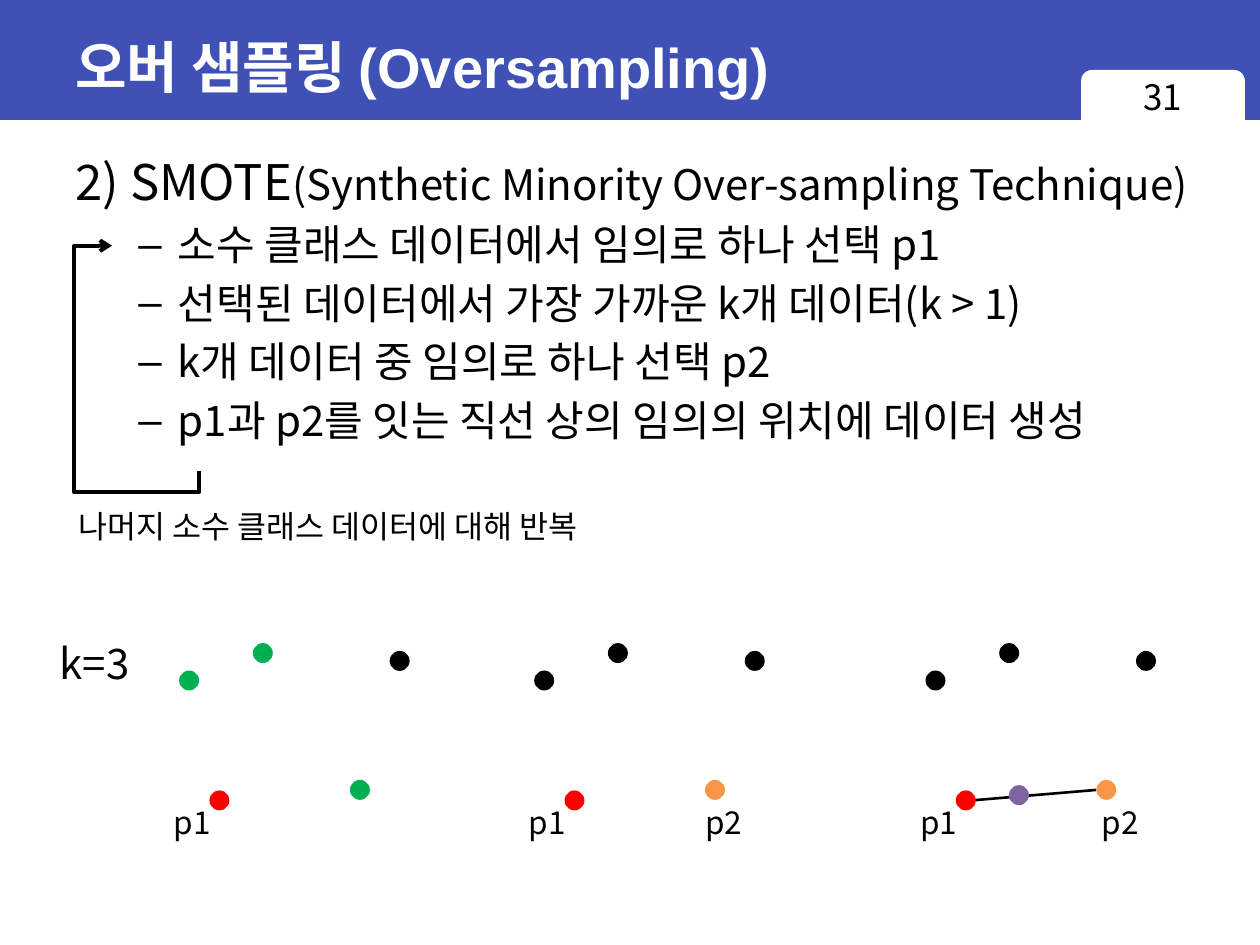
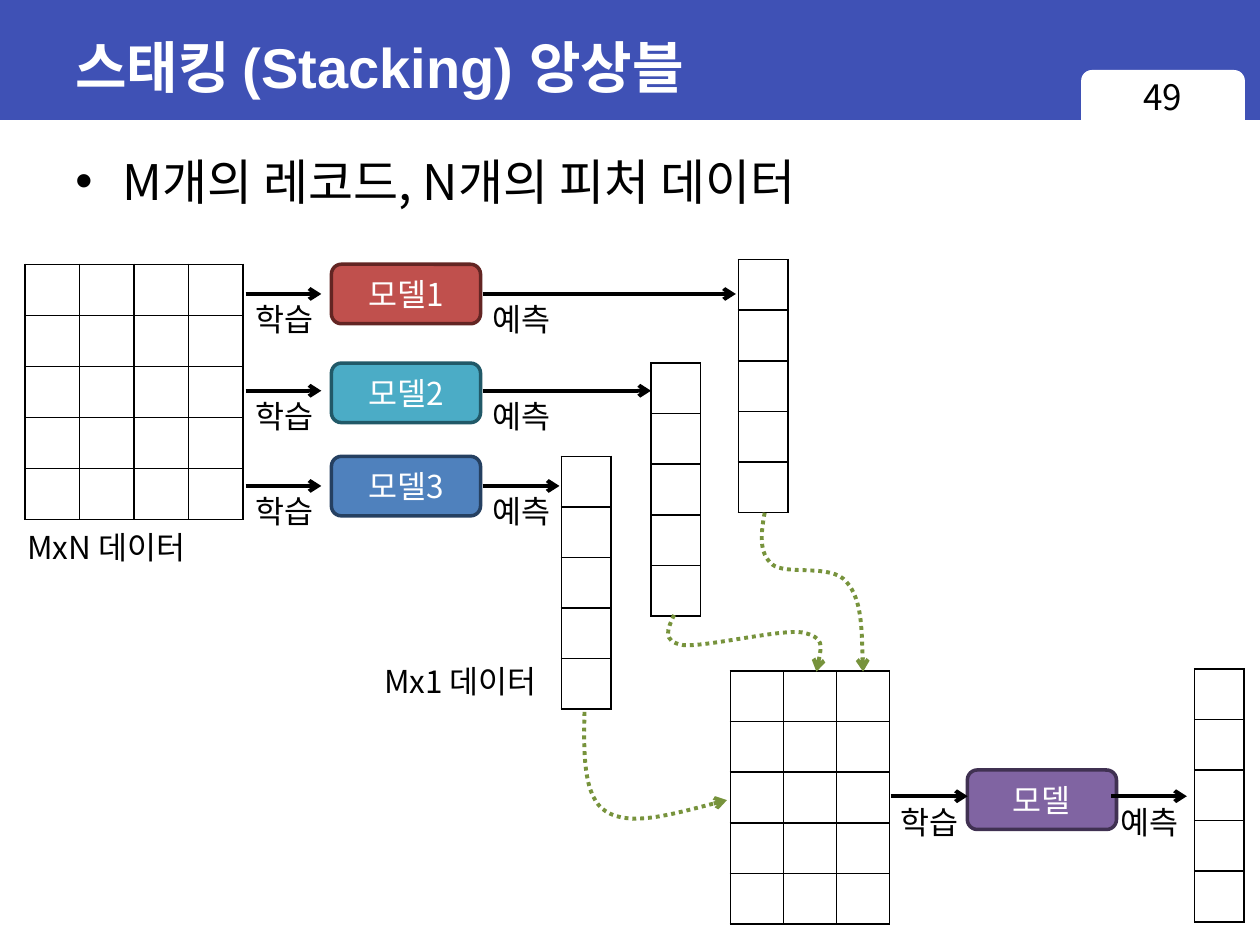
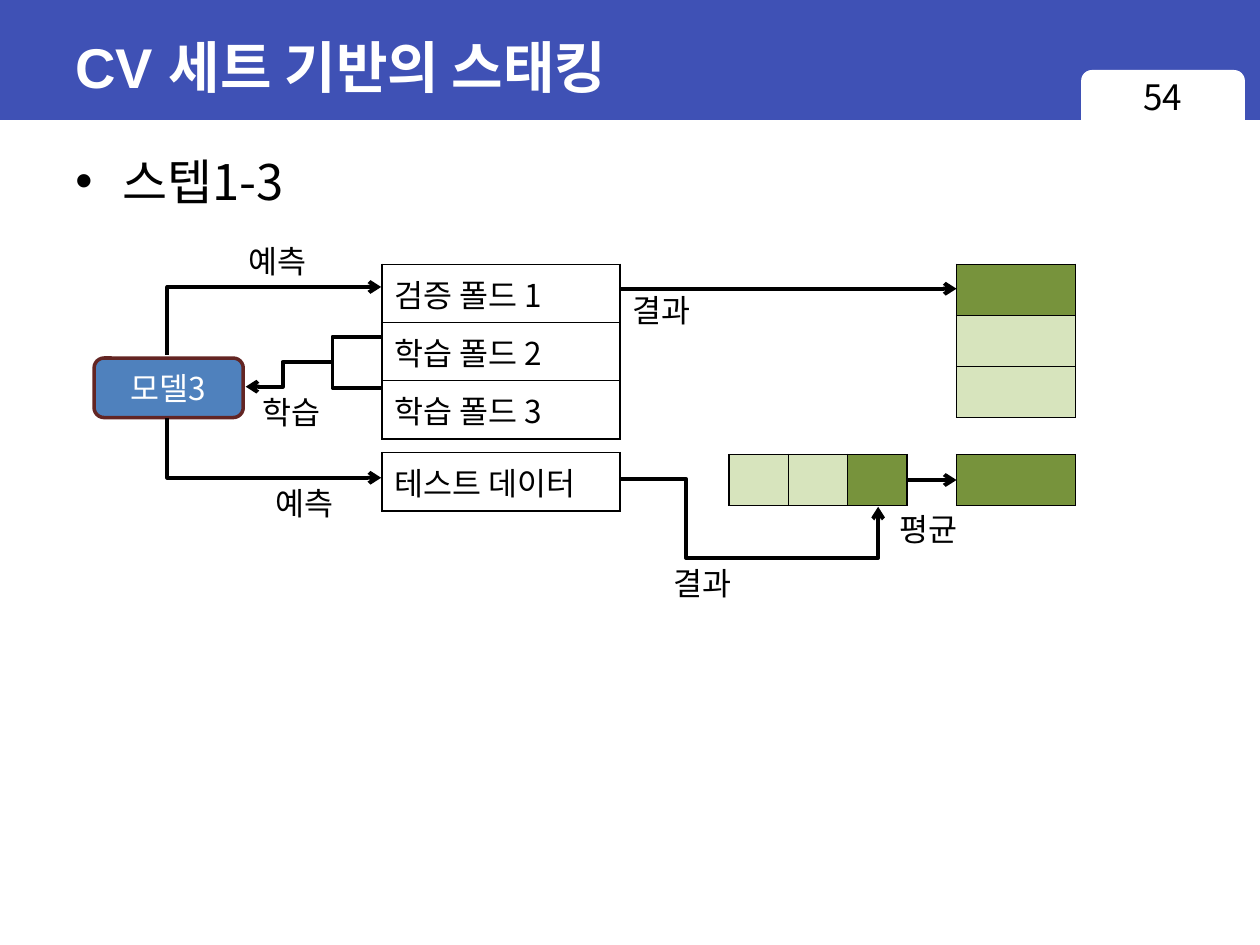
"""Build three slides on oversampling and stacking ensembles."""
from lxml import etree
from pptx import Presentation
from pptx.dml.color import RGBColor
from pptx.enum import dml, shapes, text
from pptx.oxml import ns
from pptx.util import Pt

HUES = {
    "band": "3F51B5", "white": "FFFFFF", "black": "000000", "red": "FF0000",
    "green": "00B050", "orange": "F79646", "purple": "8064A2", "plum": "403152",
    "brick": "C0504D", "wine": "632523", "teal": "4BACC6", "sea": "215968",
    "blue": "4F81BD", "navy": "254061", "olive": "77933C", "pale": "D7E4BD",
}
KIND = shapes.MSO_SHAPE


def hue(name):
    """Return the named colour."""
    return RGBColor.from_string(HUES[name])


def sub(node, tag, **attrs):
    """Append a drawing element to a node."""
    return etree.SubElement(node, ns.qn("a:" + tag), attrs)


class Deck:
    """Hold the style and the current slide."""

    font = "Noto Sans CJK KR"

    def __init__(self):
        """Start a deck of 10 by 7.5 inches."""
        self.file = Presentation()
        self.file.slide_width, self.file.slide_height = Pt(720), Pt(540)

    def page(self, title, number):
        """Add a slide with its band, title and page tab."""
        self.slide = self.file.slides.add_slide(self.file.slide_layouts[6])
        self.shape(KIND.RECTANGLE, 0, 0, 720, 68.6, "band")
        self.shape(KIND.ROUNDED_RECTANGLE, 617.8, 40, 93.6, 37, "white")
        frame = self.frame(36, 8, 648, 60)
        frame.vertical_anchor = text.MSO_ANCHOR.MIDDLE
        frame.text = title
        self.style(frame.paragraphs[0], 32, "white", "Arial", True)
        frame = self.frame(617.4, 39.6, 94.3, 37.4)
        frame.text = number
        frame.paragraphs[0].alignment = text.PP_ALIGN.CENTER
        self.style(frame.paragraphs[0], 20)

    def style(self, para, size, color="black", font=font, bold=False):
        """Set the font of every run in a paragraph."""
        for run in para.runs:
            run.font.size, run.font.bold, run.font.name = Pt(size), bold, font
            run.font.color.rgb = hue(color)

    def frame(self, x, y, w, h):
        """Add a wrapping text box and return its frame."""
        frame = self.slide.shapes.add_textbox(Pt(x), Pt(y), Pt(w), Pt(h)).text_frame
        frame.word_wrap = True
        return frame

    def label(self, words, x, y, w=51.1, size=18):
        """Add a one-line label."""
        frame = self.frame(x, y, w, size * 1.2 + 7.2)
        frame.word_wrap = False
        frame.auto_size = text.MSO_AUTO_SIZE.SHAPE_TO_FIT_TEXT
        frame.text = words
        self.style(frame.paragraphs[0], size)

    def body(self, head, note="", items=()):
        """Add the main text, as a bullet or as a heading with dashes."""
        frame = self.frame(36, 82.8, 680, 442)
        frame.text = head
        para = frame.paragraphs[0]
        if note:
            para.add_run().text = note
        self.style(para, 28)
        if note:
            para.runs[1].font.size = Pt(24)
        else:
            self.bullet(para, "•", 27)
        for item in items:
            para = frame.add_paragraph()
            para.text = item
            para.space_before = Pt(4.8)
            self.style(para, 24)
            self.bullet(para, "–", 58.5, 22.5)

    def bullet(self, para, mark, left, hang=27):
        """Give a paragraph a hanging bullet."""
        props = para._p.get_or_add_pPr()
        props.set("marL", str(Pt(left)))
        props.set("indent", str(-Pt(hang)))
        sub(props, "buFont", typeface="Arial")
        sub(props, "buChar", char=mark)

    def shape(self, kind, x, y, w, h, fill, edge=None):
        """Add a filled preset shape."""
        item = self.slide.shapes.add_shape(kind, Pt(x), Pt(y), Pt(w), Pt(h))
        item.shadow.inherit = False
        item.fill.solid()
        item.fill.fore_color.rgb = hue(fill)
        if edge:
            item.line.color.rgb, item.line.width = hue(edge), Pt(2)
        else:
            item.line.fill.background()
        return item

    def dot(self, x, y, fill):
        """Add a data point."""
        self.shape(KIND.OVAL, x, y, 11.4, 11.4, fill)

    def model(self, words, x, y, fill, edge):
        """Add a model box."""
        frame = self.shape(KIND.ROUNDED_RECTANGLE, x, y, 85.2, 34, fill, edge).text_frame
        frame.vertical_anchor = text.MSO_ANCHOR.MIDDLE
        frame.text = words
        frame.paragraphs[0].alignment = text.PP_ALIGN.CENTER
        self.style(frame.paragraphs[0], 18, "white")

    def ink(self, item, color, width, head):
        """Set the stroke of a line and its arrowhead."""
        item.line.color.rgb, item.line.width = hue(color), Pt(width)
        if head:
            sub(item.line._get_or_add_ln(), "tailEnd", type="arrow")

    def line(self, x, y, end, drop=0, width=2.25, head=True):
        """Add a straight line, by default a level arrow."""
        item = self.slide.shapes.add_connector(
            shapes.MSO_CONNECTOR.STRAIGHT, Pt(x), Pt(y), Pt(end), Pt(y + drop))
        self.ink(item, "black", width, head)
        sub(item._element.spPr, "effectLst")

    def route(self, *spots, color="black", head=True):
        """Add an open path through the given points."""
        spots = [(Pt(x), Pt(y)) for x, y in spots]
        build = self.slide.shapes.build_freeform(*spots[0])
        build.add_line_segments(spots[1:], close=False)
        item = build.convert_to_shape()
        item.shadow.inherit = False
        item.fill.background()
        self.ink(item, color, 2.25, head)
        return item

    def curve(self, *spots):
        """Add a dotted Bezier arrow with three points to each segment."""
        item = self.route(*spots, color="olive")
        item.line.dash_style = dml.MSO_LINE.ROUND_DOT
        track = next(item._element.iter(ns.qn("a:path")))
        steps = track.findall(ns.qn("a:lnTo"))
        for i in range(0, len(steps), 3):
            bend = sub(track, "cubicBezTo")
            for step in steps[i:i + 3]:
                bend.append(step[0])
                track.remove(step)

    def grid(self, x, y, wide, high, rows, cols=1, fills=(), words=()):
        """Add a ruled table, with fills and words given cell by cell."""
        table = self.slide.shapes.add_table(
            rows, cols, Pt(x), Pt(y), Pt(wide * cols), Pt(high * rows)).table
        table.first_row = table.horz_banding = False
        for col in table.columns:
            col.width = Pt(wide)
        for row in table.rows:
            row.height = Pt(high)
        for i, cell in enumerate(table.iter_cells()):
            if words:
                cell.text = words[i]
                self.style(cell.text_frame.paragraphs[0], 18)
            else:
                cell.margin_top = cell.margin_bottom = 0
            props = cell._tc.get_or_add_tcPr()
            for side in "LRTB":
                rule = sub(props, "ln" + side, w=str(Pt(1)))
                sub(sub(rule, "solidFill"), "srgbClr", val=HUES["black"])
            if fills:
                cell.fill.solid()
                cell.fill.fore_color.rgb = hue(fills[i])
            else:
                cell.fill.background()


def sample(deck):
    """Draw the oversampling slide."""
    deck.page("오버 샘플링 (Oversampling)", "31")
    deck.body("2) SMOTE", "(Synthetic Minority Over-sampling Technique)", [
        "소수 클래스 데이터에서 임의로 하나 선택 p1",
        "선택된 데이터에서 가장 가까운 k개 데이터(k > 1)",
        "k개 데이터 중 임의로 하나 선택 p2",
        "p1과 p2를 잇는 직선 상의 임의의 위치에 데이터 생성"])
    deck.label("k=3", 27, 360.7, 56.9, 24)
    deck.line(557.3, 457.2, 626.4, -5.8, 1.5, False)
    for x, near, pick, gap in ((119.7, "green", "green", 0), (322.6, "black", "orange", 73.4),
                               (546.2, "black", "orange", 76.2)):
        for dx, y, fill in ((103, 372, "black"), (0, 451.7, "red"), (80.3, 445.7, pick),
                            (-17.3, 383.2, near), (24.8, 367.5, near)):
            deck.dot(x + dx, y, fill)
        deck.label("p1", x - 27.4, 455.4, 36)
        if gap:
            deck.label("p2", x + gap, 455.4, 36)
    deck.dot(576.6, 448.7, "purple")
    deck.route((113.8, 269.3), (113.8, 281.3), (42.4, 281.3), (42.4, 140.4), (64, 140.4))
    deck.label("나머지 소수 클래스 데이터에 대해 반복", 38, 286.2, 335.5)


def stack(deck):
    """Draw the stacking slide."""
    deck.page("스태킹 (Stacking) 앙상블", "49")
    deck.body("M개의 레코드, N개의 피처 데이터")
    deck.grid(14.2, 151, 31.2, 29.2, 5, 4)
    for name, top, y, x, high, end, fill, edge in (
            ("모델1", 151, 168, 422, 148.4, 420.5, "brick", "wine"),
            ("모델2", 207.5, 223.3, 372, 207.5, 372, "teal", "sea"),
            ("모델3", 260.8, 277.7, 320.8, 260.8, 319.7, "blue", "navy")):
        deck.model(name, 189.4, top, fill, edge)
        deck.line(140.4, y, 183.6)
        deck.label("학습", 139, y)
        deck.grid(x, high, 28.4, 28.9, 5)
        deck.line(275.8, y, end)
        deck.label("예측", 274.3, y)
    deck.label("MxN 데이터", 8.6, 298, 114.5)
    deck.label("Mx1 데이터", 212.4, 374.6, 114.5)
    deck.grid(417.4, 383.5, 30.3, 28.9, 5, 3)
    deck.model("모델", 552.8, 440, "purple", "plum")
    deck.grid(682.6, 382.3, 28.4, 28.9, 5)
    for word, x, end in (("학습", 509, 553), ("예측", 635, 678.2)):
        deck.line(x, 455, end)
        deck.label(word, x - 1.6, 455.2)
    deck.curve((334, 406.8), (333.4, 431.3), (333.4, 455.8), (346.3, 463.7),
               (360, 472.3), (387.4, 464.4), (415.4, 457.2))
    deck.curve((385.2, 351.4), (381.6, 359.3), (378, 366.5), (390.2, 368.6),
               (402.5, 370), (446.4, 359.3), (458.6, 361.4),
               (471.6, 364.3), (468.7, 373.7), (466.6, 383.8))
    deck.curve((437, 293), (434.9, 304.6), (433.4, 316), (441.4, 322.6),
               (449.3, 329), (475.2, 321.8), (483.8, 332.6),
               (492.5, 342.7), (492.5, 362.9), (493.2, 383.8))


def folds(deck):
    """Draw the cross-validation slide."""
    deck.page("CV 세트 기반의 스태킹", "54")
    deck.body("스텝1-3")
    deck.grid(218.2, 151, 136.2, 33.3, 3, words=["검증 폴드 1", "학습 폴드 2", "학습 폴드 3"])
    deck.grid(218.2, 258.6, 136.2, 33.3, 1, words=["테스트 데이터"])
    deck.model("모델3", 53.8, 204.6, "blue", "wine")
    deck.grid(546.6, 151, 68, 29.2, 3, fills=["olive", "pale", "pale"])
    for i, fill in enumerate(["pale", "pale", "olive"]):
        deck.grid(416.6 + 33.9 * i, 259.8, 33.9, 29.2, 1, fills=[fill])
    deck.grid(546.6, 259.8, 68, 29.2, 1, fills=["olive"])
    deck.route((217.8, 192.4), (190, 192.4), (190, 221.6), (218.2, 221.6), head=False)
    deck.route((189.4, 206.8), (161.5, 206.8), (161.5, 221), (140.4, 221))
    deck.route((95.6, 202.6), (95.6, 164), (217.8, 164))
    deck.route((95.6, 238.8), (95.6, 273), (217.8, 273))
    deck.route((354.8, 273.6), (392, 273.6), (392, 318.8), (501.8, 318.8), (501.8, 289.6))
    deck.line(354.4, 165, 546.6)
    deck.line(518.4, 274.3, 546.6)
    for word, x, y in (("학습", 142.9, 221), ("예측", 134.9, 135), ("예측", 150.5, 273),
                       ("결과", 378, 319), ("결과", 354.4, 162.7), ("평균", 507, 288)):
        deck.label(word, x, y)


def main():
    """Build and save the deck."""
    deck = Deck()
    for draw in (sample, stack, folds):
        draw(deck)
    deck.file.save("out.pptx")


if __name__ == "__main__":
    main()
